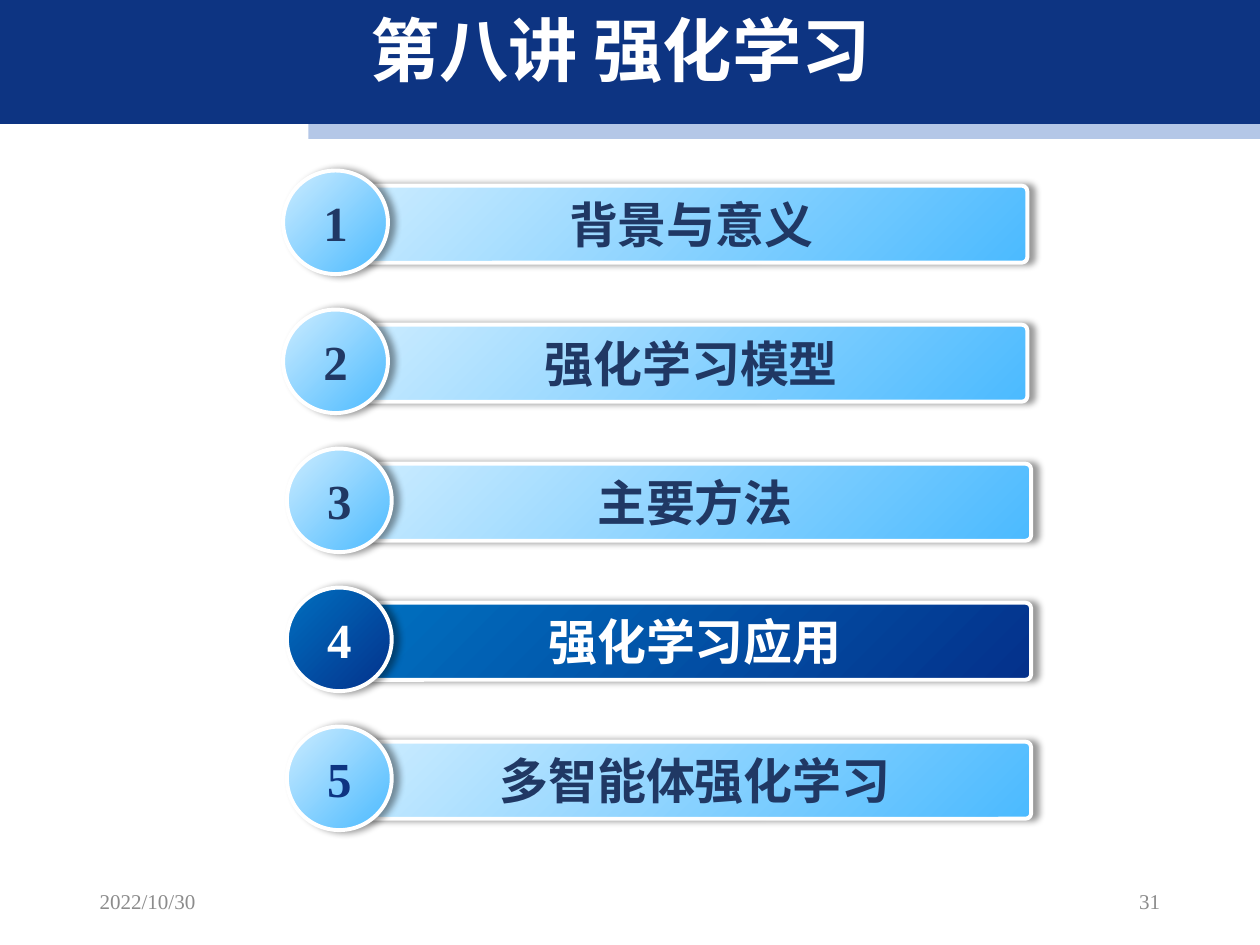
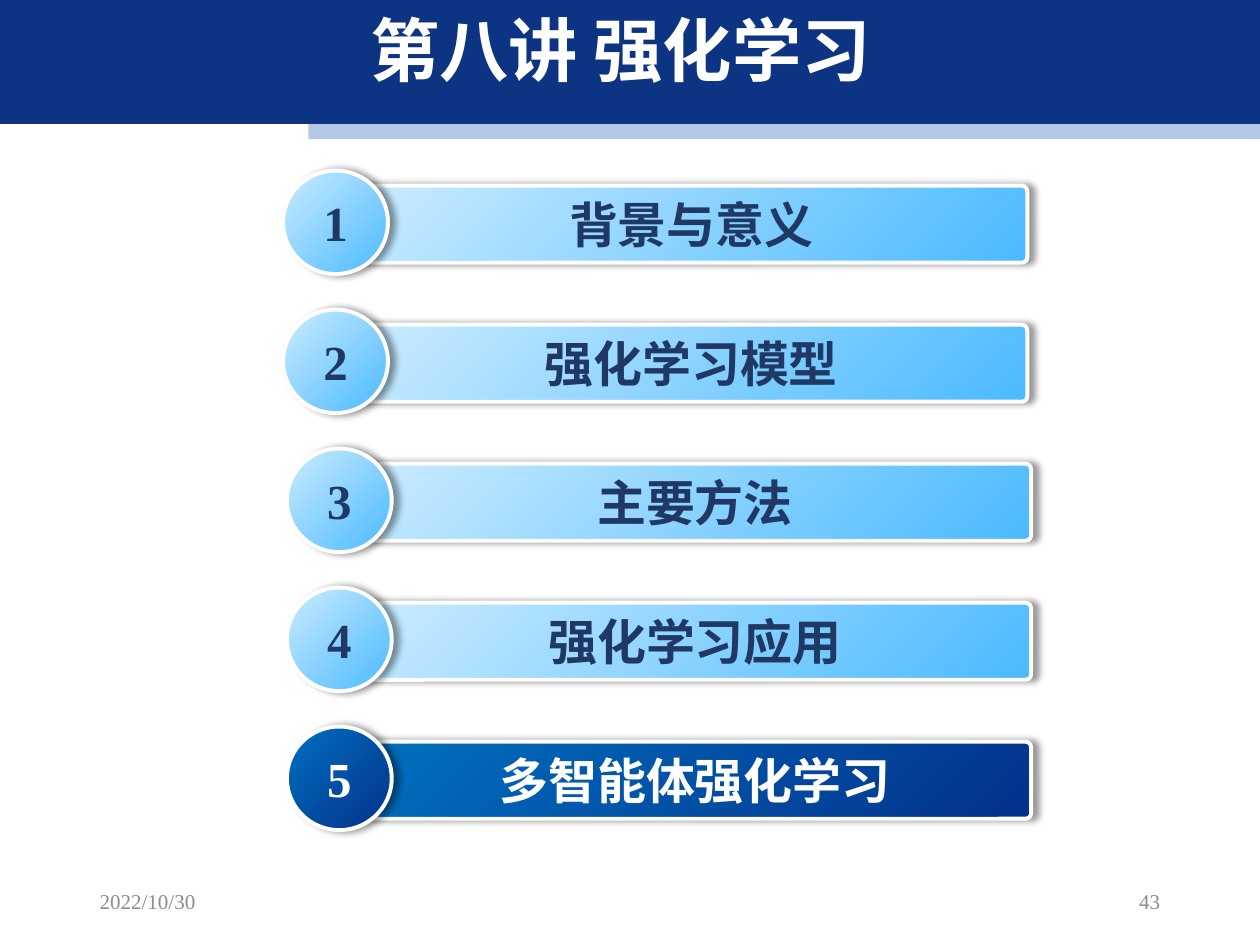
from dataclasses import dataclass
from lxml.etree import SubElement
from pptx import Presentation
from pptx.dml.color import RGBColor as RGB
from pptx.enum.shapes import MSO_SHAPE as SHAPE
from pptx.enum.text import MSO_ANCHOR as ANCHOR, MSO_AUTO_SIZE as FIT, PP_ALIGN as ALIGN
from pptx.oxml.ns import qn
from pptx.util import Inches, Pt


@dataclass(frozen=True)
class Theme:
    navy: str = "0D3482"
    pale: str = "B4C7E7"
    white: str = "FFFFFF"
    ink: str = "203864"
    grey: str = "8C8C8C"
    idle: tuple = ("CCECFF", "4BBAFF")
    active: tuple = ("0070C0", "04318B")
    latin: str = "Times New Roman"
    cjk: str = "Noto Sans CJK SC"
    title: float = 39.5
    item: float = 27.9
    footer: float = 12


T = Theme()
prs = Presentation()
prs.slide_width, prs.slide_height = Inches(9.97), Inches(7.48)
COL, ROW = prs.slide_width / 100, prs.slide_height / 100


def grid(x, y, w, h):
    return [round(v) for v in (x * COL, y * ROW, w * COL, h * ROW)]


def write(shape, text, size, color, align=ALIGN.CENTER, bold=True, latin=T.latin):
    tf = shape.text_frame
    frame = {"word_wrap": True, "auto_size": FIT.NONE, "vertical_anchor": ANCHOR.MIDDLE}
    for key, value in frame.items():
        setattr(tf, key, value)
    p = tf.paragraphs[0]
    p.alignment = align
    r = p.add_run()
    r.text = text
    for key, value in {"size": Pt(size), "bold": bold, "name": latin}.items():
        setattr(r.font, key, value)
    r.font.color.rgb = RGB.from_string(color)
    SubElement(r._r.get_or_add_rPr(), qn("a:ea"), typeface=T.cjk)
    return p


ITEMS = [
    ("背景与意义", 0, T.ink),
    ("强化学习模型", 0, T.ink),
    ("主要方法", 0.3, T.ink),
    ("强化学习应用", 0.3, T.ink),
    ("多智能体强化学习", 0.3, T.navy),
]
PITCH = 14.71
PAGES = [("31", 4), ("43", 5)]

layout = prs.slide_layouts[5]
title = layout.placeholders[0]
for key, value in zip(("left", "top", "width", "height"), grid(11.43, 1.34, 75.63, 8.82)):
    setattr(title, key, value)

slides = [prs.slides.add_slide(layout) for _ in PAGES]

BANDS = [((24.47, 13.1, 75.53, 1.6), T.pale), ((0, 0, 100, 13.1), T.navy)]
for i, (area, color) in enumerate(BANDS):
    band = slides[0].shapes.add_shape(SHAPE.RECTANGLE, *grid(*area))
    band.shadow.inherit = False
    band.fill.solid()
    band.fill.fore_color.rgb = RGB.from_string(color)
    band.line.fill.background()
    band.element.nvSpPr.cNvPr.set("id", str(100 + i))
    layout.shapes.element.insert(2 + i, band.element)

for s, (page, current) in zip(slides, PAGES):
    p = write(s.shapes.title, "第八讲 强化学习", T.title, T.white, latin=T.cjk)
    p.line_spacing = 0.9

    for i, (text, shift, number_color) in enumerate(ITEMS):
        active = i + 1 == current
        group = s.shapes.add_group_shape()
        parts = [
            (SHAPE.ROUNDED_RECTANGLE, (28.18, 19.65, 53.36, 8.16), text, T.ink),
            (SHAPE.OVAL, (22.47, 18.05, 8.32, 10.96), str(i + 1), number_color),
        ]
        for kind, (x, y, w, h), label, color in parts:
            sp = group.shapes.add_shape(kind, *grid(x + shift, y + i * PITCH, w, h))
            if kind == SHAPE.ROUNDED_RECTANGLE:
                sp.adjustments[0] = 0.073
            sp.fill.gradient()
            sp.fill.gradient_angle = 315
            for stop, shade in zip(sp.fill.gradient_stops, T.active if active else T.idle):
                stop.color.rgb = RGB.from_string(shade)
            sp.line.color.rgb = RGB.from_string(T.white)
            sp.line.width = Pt(2.25)
            sp.shadow.inherit = False
            effects = sp.element.spPr.find(qn("a:effectLst"))
            shadow = SubElement(effects, qn("a:outerShdw"), blurRad=str(Pt(4)),
                                dist=str(Pt(3)), dir="0", rotWithShape="0")
            tint = SubElement(shadow, qn("a:srgbClr"), val="000000")
            SubElement(tint, qn("a:alpha"), val="40000")
            write(sp, label, T.item, T.white if active else color)

    for x, text, align in [(6.92, "2022/10/30", ALIGN.LEFT), (70.61, page, ALIGN.RIGHT)]:
        box = s.shapes.add_textbox(*grid(x, 92.65, 22.47, 5.35))
        write(box, text, T.footer, T.grey, align, False)

prs.save("out.pptx")
